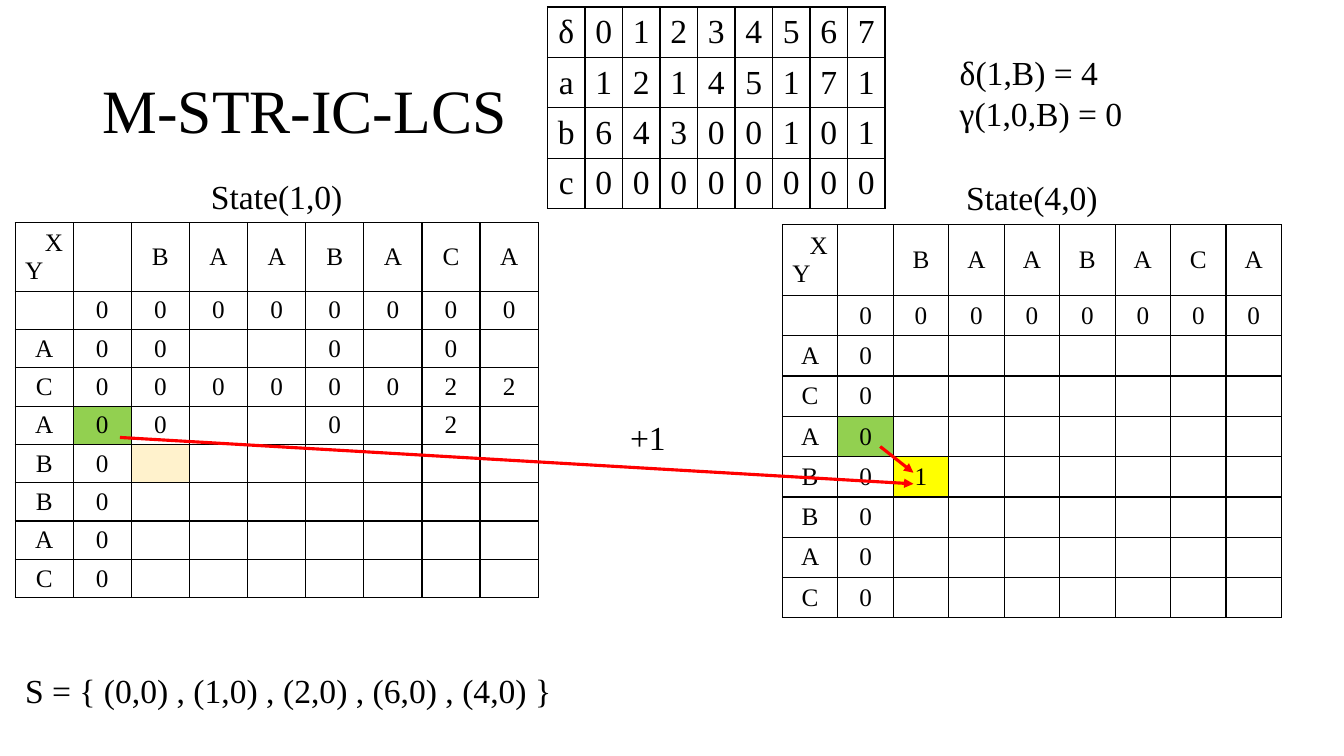
"""Build the M-STR-IC-LCS slide with its transition and state tables."""
from dataclasses import dataclass
from itertools import cycle

from lxml import etree
from pptx import Presentation
from pptx import util as u
from pptx.dml.color import RGBColor
from pptx.enum import shapes, text
from pptx.oxml.ns import qn

LEFT, CENTER, RIGHT = text.PP_ALIGN.LEFT, text.PP_ALIGN.CENTER, text.PP_ALIGN.RIGHT
COLUMNS = 9


@dataclass(frozen=True)
class Theme:
    """Colours, font and type sizes of the slide."""
    font: str = "Times New Roman"
    ink: str = "000000"
    white: str = "FFFFFF"
    arrow: str = "FF0000"
    source: str = "92D050"
    pending: str = "FFF2CC"
    result: str = "FFFF00"
    title: int = 44
    body: int = 24
    cell: int = 18


THEME = Theme()


def write(frame, content, size=THEME.body, aligns=(LEFT,), spacing=None):
    """Write the lines of content into a text frame."""
    for index, (line, align) in enumerate(zip(content.split("\n"), cycle(aligns))):
        paragraph = frame.add_paragraph() if index else frame.paragraphs[0]
        paragraph.alignment = align
        if spacing:
            paragraph.line_spacing = spacing
        run = paragraph.add_run()
        run.text = line
        run.font.name = THEME.font
        run.font.size = u.Pt(size)
        run.font.color.rgb = RGBColor.from_string(THEME.ink)


def add_borders(cell, sides="LRTB"):
    """Give the named sides of a cell a thin line and the others none."""
    properties = cell._tc.get_or_add_tcPr()
    for index, side in enumerate("LRTB"):
        line = etree.Element(qn(f"a:ln{side}"), w=str(u.Pt(1)))
        if side in sides:
            fill = etree.SubElement(line, qn("a:solidFill"))
            etree.SubElement(fill, qn("a:srgbClr"), val=THEME.ink)
        else:
            etree.SubElement(line, qn("a:noFill"))
        properties.insert(index, line)


class SlideBuilder:
    """Hold the theme and the current slide."""

    def __init__(self, slide, theme):
        self.slide = slide
        self.theme = theme

    def text_box(self, content, left, top, width, height, anchor=text.MSO_ANCHOR.TOP, **style):
        """Add a wrapped text box."""
        box = self.slide.shapes.add_textbox(*map(u.Inches, (left, top, width, height)))
        frame = box.text_frame
        frame.word_wrap = True
        frame.vertical_anchor = anchor
        write(frame, content, **style)

    def cell(self, cell, content, size, margin, fill, sides="LRTB"):
        """Format and fill one table cell."""
        cell.vertical_anchor = text.MSO_ANCHOR.MIDDLE
        cell.margin_left = cell.margin_right = u.Inches(margin)
        cell.margin_top = cell.margin_bottom = u.Inches(0.04)
        if fill:
            cell.fill.solid()
            cell.fill.fore_color.rgb = RGBColor.from_string(fill)
        else:
            cell.fill.background()
        add_borders(cell, sides)
        if content.strip("."):
            aligns = (RIGHT, LEFT) if "\n" in content else (CENTER,)
            write(cell.text_frame, content, size=size, aligns=aligns)

    def grid(self, left, top, width, heights):
        """Add a plain table with equal columns."""
        table = self.slide.shapes.add_table(
            len(heights), COLUMNS, *map(u.Inches, (left, top, width, sum(heights)))).table
        table.first_row = table.horz_banding = False
        for column in table.columns:
            column.width = u.Inches(width / COLUMNS)
        for row, height in zip(table.rows, heights):
            row.height = u.Inches(height)
        return table

    def transition_table(self, rows, left, top, width):
        """Add the table of the transition function."""
        table = self.grid(left, top, width, [0.5] * len(rows))
        for r, row in enumerate(rows):
            for c, content in enumerate(row):
                self.cell(table.cell(r, c), content, self.theme.body, 0.05, None)

    def state_table(self, title, rows, left, width, heights, fills, base=None):
        """Add the table of one state under a merged title row."""
        title_height, label_height, row_height = heights
        table = self.grid(left, 1.73, width,
                          [title_height, label_height] + [row_height] * len(rows))
        for c in range(COLUMNS):
            self.cell(table.cell(0, c), "" if c else title, self.theme.body, 0.1, base, "B")
        table.cell(0, 0).merge(table.cell(0, COLUMNS - 1))
        labelled = [["X\nY", *".BAABACA"]] + [row.ljust(COLUMNS, ".") for row in rows]
        for r, row in enumerate(labelled, start=1):
            for c, content in enumerate(row):
                self.cell(table.cell(r, c), content, self.theme.cell, 0.1,
                          fills.get((r, c), base))

    def arrow(self, start, end):
        """Add a straight arrow."""
        connector = self.slide.shapes.add_connector(
            shapes.MSO_CONNECTOR.STRAIGHT, *map(u.Inches, start + end))
        connector.line.width = u.Pt(2.25)
        connector.line.color.rgb = RGBColor.from_string(self.theme.arrow)
        etree.SubElement(connector.line._get_or_add_ln(), qn("a:tailEnd"), type="triangle")
        etree.SubElement(connector._element.spPr, qn("a:effectLst"))


def main():
    """Build and save the presentation."""
    presentation = Presentation()
    presentation.slide_width = u.Inches(13.33)
    presentation.slide_height = u.Inches(7.5)
    slide = presentation.slides.add_slide(presentation.slide_layouts[6])
    builder = SlideBuilder(slide, THEME)

    builder.text_box("M-STR-IC-LCS", 0.92, 0.4, 11.5, 1.45,
                     anchor=text.MSO_ANCHOR.MIDDLE, size=THEME.title, spacing=0.9)
    zeros = ".00000000"
    builder.state_table(
        "State(1,0)",
        [zeros, "A00..0.0", "C00000022", "A00..0.2", "B0", "B0", "A0", "C0"],
        0.15, 5.19, (0.47, 0.65, 0.38),
        {(5, 1): THEME.source, (6, 2): THEME.pending})
    builder.text_box("S = { (0,0) , (1,0) , (2,0) , (6,0) , (4,0) }", 0.15, 6.6, 8.91, 0.5)
    builder.state_table(
        "State(4,0)",
        [zeros, "A0", "C0", "A0", "B01", "B0", "A0", "C0"],
        7.76, 4.95, (0.5, 0.7, 0.4),
        {(5, 1): THEME.source, (6, 2): THEME.result}, base=THEME.white)
    builder.arrow((1.19, 4.34), (9.06, 4.8))
    builder.arrow((8.73, 4.43), (9.06, 4.69))
    builder.text_box("+1", 6.15, 4.09, 0.82, 0.5)
    builder.transition_table(
        ["δ01234567", "a12145171", "b64300101", "c00000000"], 5.43, 0.07, 3.35)
    builder.text_box("δ(1,B) = 4\nγ(1,0,B) = 0", 9.42, 0.47, 2.02, 1.31)
    presentation.save("out.pptx")


if __name__ == "__main__":
    main()
